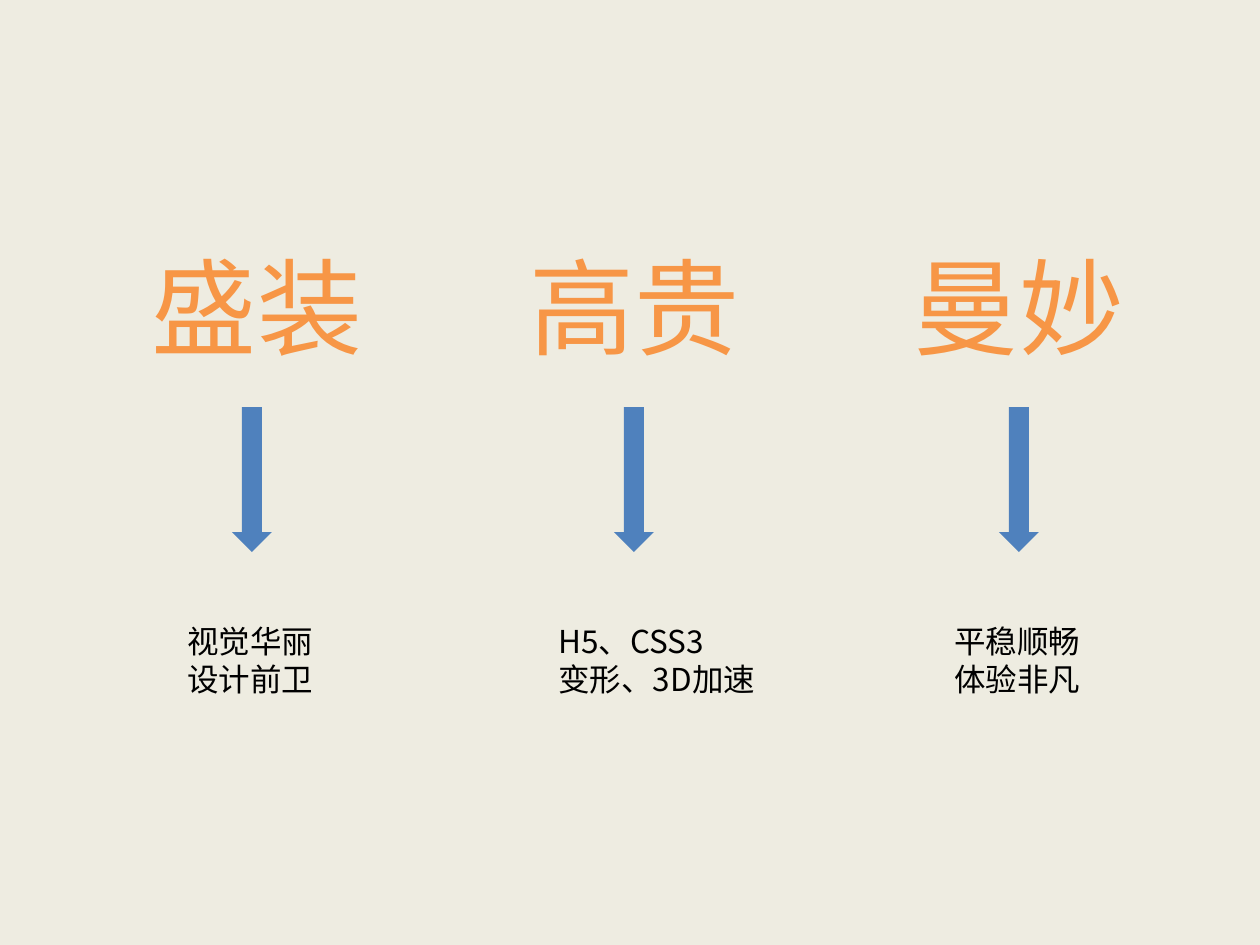
from lxml import etree
from pptx import Presentation
from pptx import util as u
from pptx.dml.color import RGBColor
from pptx.enum import shapes, text
from pptx.oxml.ns import qn

PX = u.Inches(1) / 126
FONT = "Noto Sans CJK SC"
COLORS = {
    "background": "EEECE1",
    "heading": "F79646",
    "arrow": "4F81BD",
    "caption": "000000",
}
HEADING_TOP, HEADING_WIDTH, HEADING_HEIGHT = 204, 326, 203
ARROW_TOP, ARROW_WIDTH, ARROW_HEIGHT = 407, 40, 145
CAPTION_TOP, CAPTION_HEIGHT = 616, 89

# heading, heading centre, arrow centre, caption lines, caption left, caption width
QUALITIES = [
    ("盛装", 257, 252, "视觉华丽\n设计前卫", 175, 153),
    ("高贵", 634, 634, "H5、CSS3\n变形、3D加速", 546, 227),
    ("曼妙", 1019, 1019, "平稳顺畅\n体验非凡", 942, 153),
]


def px(*lengths):
    return [round(length * PX) for length in lengths]


def color(name):
    return RGBColor.from_string(COLORS[name])


def style_run(run, size, color_name):
    """Set size, colour and font, the font for East Asian text too."""
    run.font.size = u.Pt(size)
    run.font.color.rgb = color(color_name)
    run.font.name = FONT
    east_asian = etree.SubElement(run.font._element, qn("a:ea"))
    east_asian.set("typeface", FONT)


def add_text(slide, words, box, size, color_name, align, anchor):
    frame = slide.shapes.add_textbox(*px(*box)).text_frame
    frame.word_wrap = True
    frame.vertical_anchor = anchor
    frame.text = words
    for paragraph in frame.paragraphs:
        paragraph.alignment = align
        for run in paragraph.runs:
            style_run(run, size, color_name)
    return frame


def add_heading(slide, words, center):
    box = (center - HEADING_WIDTH / 2, HEADING_TOP, HEADING_WIDTH, HEADING_HEIGHT)
    add_text(slide, words, box, 60, "heading",
             text.PP_ALIGN.CENTER, text.MSO_ANCHOR.MIDDLE)


def add_arrow(slide, center):
    arrow = slide.shapes.add_shape(
        shapes.MSO_SHAPE.DOWN_ARROW,
        *px(center - ARROW_WIDTH / 2, ARROW_TOP, ARROW_WIDTH, ARROW_HEIGHT))
    arrow.shadow.inherit = False
    arrow.fill.solid()
    arrow.fill.fore_color.rgb = color("arrow")
    arrow.line.fill.background()


def add_caption(slide, words, left, width):
    frame = add_text(slide, words, (left, CAPTION_TOP, width, CAPTION_HEIGHT),
                     18, "caption", text.PP_ALIGN.LEFT, text.MSO_ANCHOR.TOP)
    frame.auto_size = text.MSO_AUTO_SIZE.SHAPE_TO_FIT_TEXT


def main():
    deck = Presentation()
    deck.slide_width, deck.slide_height = px(1260, 945)
    slide = deck.slides.add_slide(deck.slide_layouts[6])
    slide.background.fill.solid()
    slide.background.fill.fore_color.rgb = color("background")
    for heading, heading_center, arrow_center, caption, left, width in QUALITIES:
        add_heading(slide, heading, heading_center)
        add_arrow(slide, arrow_center)
        add_caption(slide, caption, left, width)
    deck.save("out.pptx")


if __name__ == "__main__":
    main()
